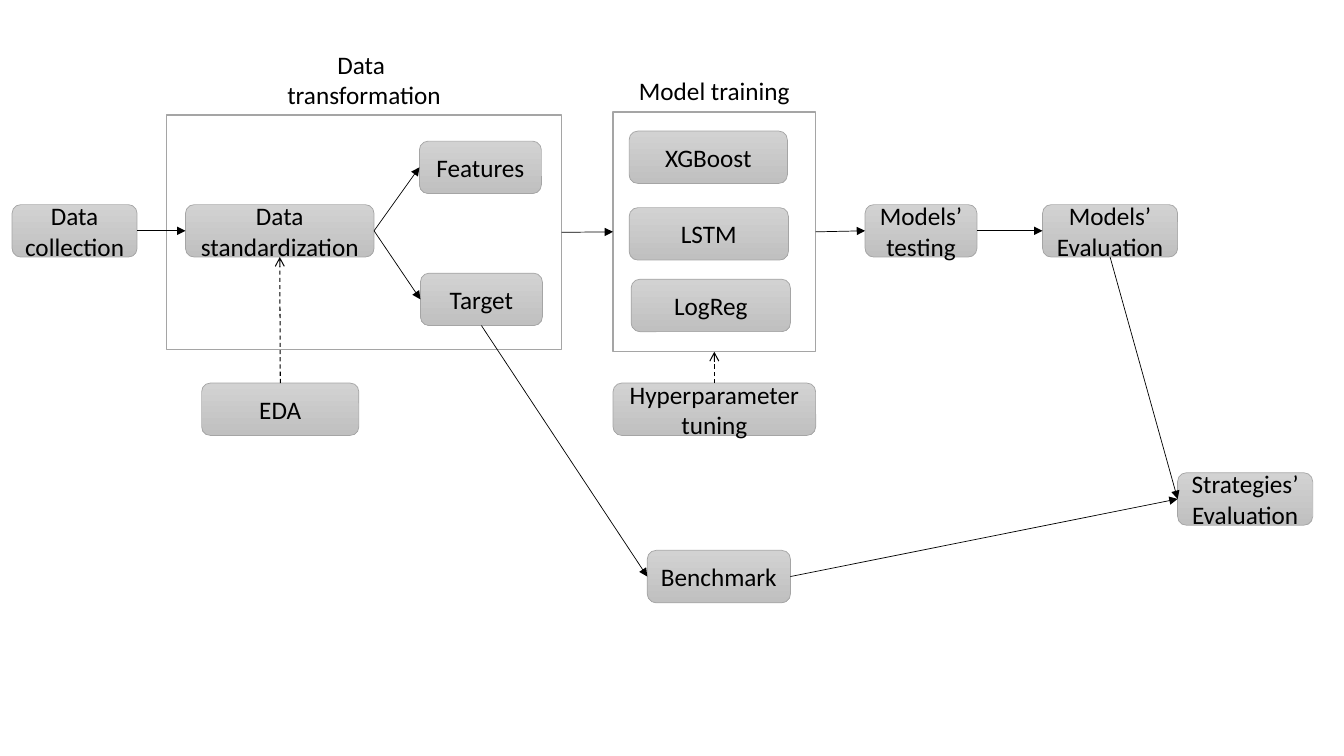
from dataclasses import dataclass
from enum import IntEnum

from lxml.etree import SubElement
from pptx import Presentation
from pptx.dml.color import RGBColor
from pptx.enum.dml import MSO_LINE
from pptx.enum.shapes import MSO_CONNECTOR, MSO_SHAPE
from pptx.enum.text import MSO_ANCHOR, MSO_AUTO_SIZE, PP_ALIGN
from pptx.oxml.ns import qn
from pptx.shapes.autoshape import Shape
from pptx.slide import Slide
from pptx.util import Inches, Pt

BLACK, WHITE, GREY = "000000", "FFFFFF", "A5A5A5"
GRADIENT = ("D2D2D2", "C0C0C0")
STEP_HEIGHT = 0.52


class Side(IntEnum):
    """Connection sites of a rectangle."""
    TOP = 0
    LEFT = 1
    BOTTOM = 2
    RIGHT = 3


@dataclass(frozen=True)
class Stage:
    """A framed group of steps with a caption above it."""
    key: str
    caption: str
    left: float
    top: float
    width: float
    height: float
    caption_top: float
    caption_height: float


@dataclass(frozen=True)
class Step:
    """A rounded box of the workflow."""
    key: str
    text: str
    left: float
    top: float
    width: float


@dataclass(frozen=True)
class Flow:
    """An arrow between two boxes; support flows are dashed."""
    source: str
    target: str
    leave: Side = Side.RIGHT
    enter: Side = Side.LEFT
    support: bool = False


STAGES = [
    Stage("training", "Model training", 6.08, 1.11, 2.01, 2.38, 0.7, 0.4),
    Stage("transformation", "Data \ntransformation", 1.65, 1.14, 3.92, 2.33, 0.44, 0.71),
]
STEPS = [
    Step("collection", "Data collection", 0.12, 2.03, 1.24),
    Step("standardization", "Data standardization", 1.84, 2.03, 1.87),
    Step("features", "Features", 4.16, 1.4, 1.21),
    Step("target", "Target", 4.17, 2.71, 1.21),
    Step("eda", "EDA", 2, 3.8, 1.56),
    Step("xgboost", "XGBoost", 6.24, 1.3, 1.57),
    Step("lstm", "LSTM", 6.24, 2.06, 1.58),
    Step("logreg", "LogReg", 6.26, 2.77, 1.58),
    Step("tuning", "Hyperparameter tuning", 6.08, 3.8, 2.01),
    Step("testing", "Models’ \ntesting", 8.58, 2.03, 1.11),
    Step("evaluation", "Models’ Evaluation", 10.34, 2.03, 1.34),
    Step("strategies", "Strategies’ Evaluation", 11.68, 4.69, 1.34),
    Step("benchmark", "Benchmark", 6.42, 5.46, 1.42),
]
FLOWS = [
    Flow("collection", "standardization"),
    Flow("standardization", "features"),
    Flow("standardization", "target"),
    Flow("transformation", "training"),
    Flow("training", "testing"),
    Flow("testing", "evaluation"),
    Flow("evaluation", "strategies", leave=Side.BOTTOM),
    Flow("target", "benchmark", leave=Side.BOTTOM),
    Flow("benchmark", "strategies"),
    Flow("eda", "standardization", Side.TOP, Side.BOTTOM, support=True),
    Flow("tuning", "training", Side.TOP, Side.BOTTOM, support=True),
]


def color(value: str) -> RGBColor:
    """Turn a hex string into a colour."""
    return RGBColor.from_string(value)


def write(box: Shape, text: str) -> None:
    """Set centred black text in a box."""
    box.text_frame.text = text
    box.text_frame.word_wrap = True
    for paragraph in box.text_frame.paragraphs:
        paragraph.alignment = PP_ALIGN.CENTER
        for run in paragraph.runs:
            run.font.name = "Calibri"
            run.font.size = Pt(18)
            run.font.color.rgb = color(BLACK)


def outline(box: Shape, width: float) -> None:
    """Give a box a grey border and no shadow."""
    box.shadow.inherit = False
    box.line.color.rgb = color(GREY)
    box.line.width = Pt(width)


def draw_stage(slide: Slide, stage: Stage) -> Shape:
    """Draw the frame and the caption of a stage."""
    left, width = Inches(stage.left), Inches(stage.width)
    frame = slide.shapes.add_shape(
        MSO_SHAPE.RECTANGLE, left, Inches(stage.top), width, Inches(stage.height))
    frame.fill.solid()
    frame.fill.fore_color.rgb = color(WHITE)
    outline(frame, 1)
    caption = slide.shapes.add_textbox(
        left, Inches(stage.caption_top), width, Inches(stage.caption_height))
    write(caption, stage.caption)
    caption.text_frame.auto_size = MSO_AUTO_SIZE.SHAPE_TO_FIT_TEXT
    return frame


def draw_step(slide: Slide, step: Step) -> Shape:
    """Draw a step as a rounded box with a vertical gradient."""
    box = slide.shapes.add_shape(
        MSO_SHAPE.ROUNDED_RECTANGLE, Inches(step.left), Inches(step.top),
        Inches(step.width), Inches(STEP_HEIGHT))
    box.fill.gradient()
    box.fill.gradient_angle = 270
    for stop, shade in zip(box.fill.gradient_stops, GRADIENT):
        stop.color.rgb = color(shade)
    outline(box, 0.5)
    write(box, step.text)
    box.text_frame.vertical_anchor = MSO_ANCHOR.MIDDLE
    return box


def draw_flow(slide: Slide, flow: Flow, boxes: dict[str, Shape]) -> None:
    """Join two boxes with an arrow."""
    arrow = slide.shapes.add_connector(MSO_CONNECTOR.STRAIGHT, 0, 0, 0, 0)
    arrow.begin_connect(boxes[flow.source], flow.leave)
    arrow.end_connect(boxes[flow.target], flow.enter)
    arrow.line.color.rgb = color(BLACK)
    arrow.line.width = Pt(0.75 if flow.support else 0.5)
    if flow.support:
        arrow.line.dash_style = MSO_LINE.DASH
    head = "arrow" if flow.support else "triangle"
    SubElement(arrow.line._get_or_add_ln(), qn("a:tailEnd"), type=head)
    SubElement(arrow._element.spPr, qn("a:effectLst"))


def main() -> None:
    """Build the workflow slide."""
    deck = Presentation()
    deck.slide_width, deck.slide_height = Inches(13.33), Inches(7.5)
    slide = deck.slides.add_slide(deck.slide_layouts[6])
    boxes = {stage.key: draw_stage(slide, stage) for stage in STAGES}
    boxes |= {step.key: draw_step(slide, step) for step in STEPS}
    for flow in FLOWS:
        draw_flow(slide, flow, boxes)
    deck.save("out.pptx")


main()
